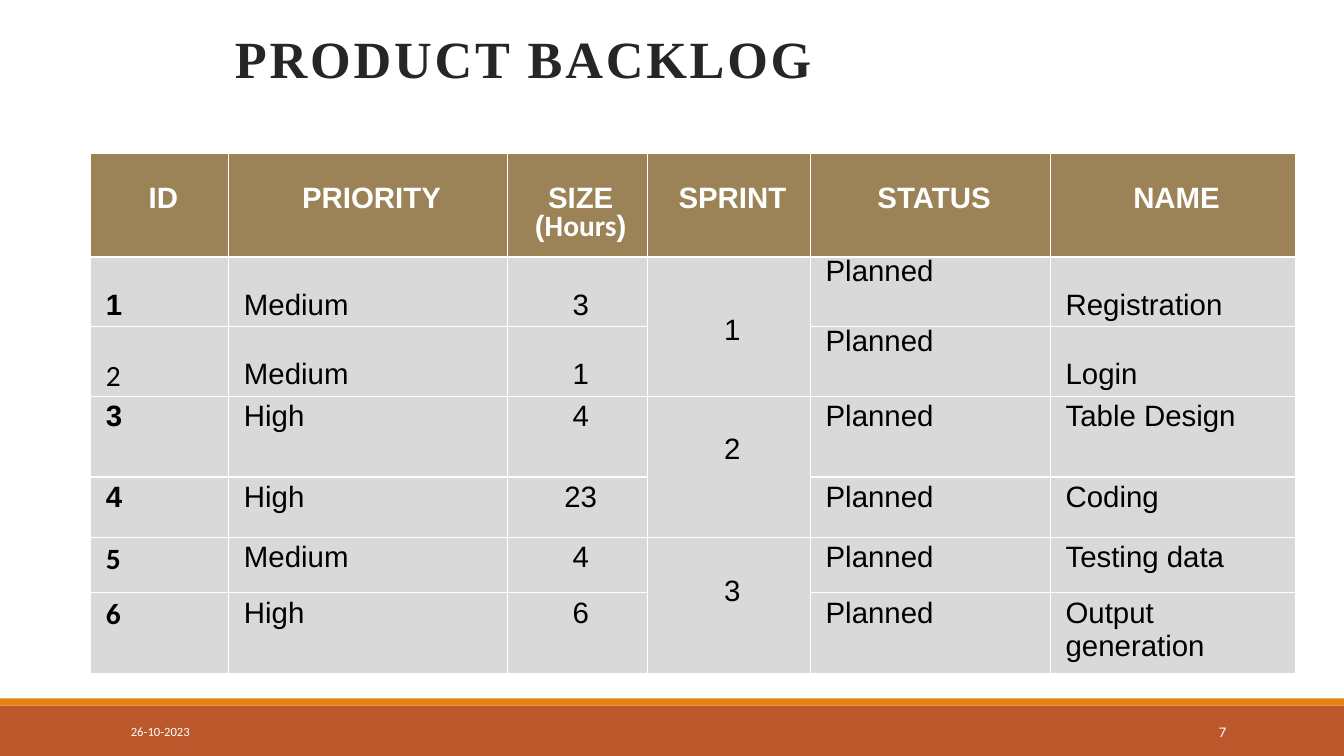
"""Build the product backlog slide."""
from dataclasses import dataclass

from lxml import etree
from pptx import Presentation
from pptx import util as u
from pptx.dml.color import RGBColor
from pptx.enum import shapes, text
from pptx.oxml.ns import qn

LEFT, CENTER, RIGHT = text.PP_ALIGN.LEFT, text.PP_ALIGN.CENTER, text.PP_ALIGN.RIGHT


@dataclass(frozen=True)
class Theme:
    """Colours, fonts and type sizes of the slide."""
    band: str = "BD582C"
    stripe: str = "E48312"
    header: str = "9B8357"
    cell: str = "D9D9D9"
    white: str = "FFFFFF"
    black: str = "000000"
    heading: str = "262626"
    body_font: str = "Arial"
    alt_font: str = "Calibri"
    title_font: str = "Times New Roman"
    title_size: float = 37.3
    table_size: float = 21
    date_size: float = 9
    number_size: float = 10.5


def add_text(p, txt, *, size, font, color, bold=False, spacing=None):
    """Append a formatted run to a paragraph."""
    r = p.add_run()
    r.text = txt
    r.font.size, r.font.name, r.font.bold = u.Pt(size), font, bold
    r.font.color.rgb = RGBColor.from_string(color)
    if spacing:
        r.font._element.set("spc", str(spacing * 100))


class Deck:
    """Hold the theme and the current slide, and add elements to it."""

    def __init__(self, prs, theme):
        """Add a blank slide to the presentation."""
        self.theme = theme
        self.s = prs.slides.add_slide(prs.slide_layouts[6])

    def rect(self, box, color):
        """Add a plain filled rectangle."""
        sp = self.s.shapes.add_shape(shapes.MSO_SHAPE.RECTANGLE, *map(u.Inches, box))
        sp.shadow.inherit = False
        sp.fill.solid()
        sp.fill.fore_color.rgb = RGBColor.from_string(color)
        sp.line.fill.background()

    def label(self, box, txt, *, align=LEFT, anchor=text.MSO_ANCHOR.MIDDLE,
              inset=None, line=None, after=None, **fmt):
        """Add a wrapped text box with one paragraph."""
        tf = self.s.shapes.add_textbox(*map(u.Inches, box)).text_frame
        tf.word_wrap, tf.vertical_anchor = True, anchor
        if inset:
            tf.margin_left = tf.margin_right = u.Inches(inset)
            tf.margin_top = tf.margin_bottom = u.Inches(inset)
        p = tf.paragraphs[0]
        p.alignment, p.line_spacing = align, line
        if after:
            p.space_after = u.Pt(after)
        add_text(p, txt, **fmt)

    def table(self, left, top, widths, heights):
        """Add an unbanded table and return it."""
        box = map(u.Inches, (left, top, sum(widths), sum(heights)))
        tbl = self.s.shapes.add_table(len(heights), len(widths), *box).table
        tbl.first_row = tbl.horz_banding = False
        for col, width in zip(tbl.columns, widths):
            col.width = u.Inches(width)
        for row, height in zip(tbl.rows, heights):
            row.height = u.Inches(height)
        for cell in tbl.iter_cells():
            self.borders(cell)
        return tbl

    def borders(self, cell):
        """Draw thin white borders around a cell."""
        tcPr = cell._tc.get_or_add_tcPr()
        for side in ("lnL", "lnR", "lnT", "lnB"):
            ln = etree.SubElement(tcPr, qn(f"a:{side}"), w=str(u.Pt(1)))
            fill = etree.SubElement(ln, qn("a:solidFill"))
            etree.SubElement(fill, qn("a:srgbClr"), val=self.theme.white)

    def cell(self, cell, lines, *, fill, top=0.04, align=LEFT, line=None, **fmt):
        """Fill a cell with lines, each a list of text and font pairs."""
        cell.fill.solid()
        cell.fill.fore_color.rgb = RGBColor.from_string(fill)
        cell.margin_left, cell.margin_right = u.Inches(0.15), u.Inches(0.08)
        cell.margin_top, cell.margin_bottom = u.Inches(top), u.Inches(0.04)
        tf = cell.text_frame
        for i, runs in enumerate(lines):
            p = tf.add_paragraph() if i else tf.paragraphs[0]
            p.alignment, p.line_spacing = align, line
            for txt, font in runs:
                add_text(p, txt, font=font, size=self.theme.table_size, **fmt)


def add_backlog(deck):
    """Add the backlog table."""
    t = deck.theme
    arial, calibri, tight = t.body_font, t.alt_font, 0.79
    tbl = deck.table(0.9, 1.52, (1.37, 2.76, 1.39, 1.62, 2.38, 2.43),
                     (1.03, 0.69, 0.69, 0.8, 0.6, 0.55, 0.8))
    headers = ("ID", "PRIORITY", "SIZE", "SPRINT", "STATUS", "NAME")
    for c, name in enumerate(headers):
        lines = [[(name, arial)]]
        if name == "SIZE":
            lines.append([("(", arial), ("Hours", calibri), (")", arial)])
        deck.cell(tbl.cell(0, c), lines, fill=t.header, top=0.34, align=CENTER,
                  line=tight, color=t.white, bold=True)

    items = (("Medium", "3", "Registration"), ("Medium", "1", "Login"),
             ("High", "4", "Table Design"), ("High", "23", "Coding"),
             ("Medium", "4", "Testing data"), ("High", "6", "Output generation"))
    for r, (priority, size, name) in enumerate(items, 1):
        low = r <= 2
        for c, txt in enumerate((str(r), priority, size, None, "Planned", name)):
            if txt is None:
                continue
            font = calibri if c == 0 and r in (2, 5, 6) else arial
            deck.cell(tbl.cell(r, c), [[(txt, font)]], fill=t.cell,
                      top=0.37 if low and c != 4 else 0.04,
                      align=CENTER if c == 2 else LEFT, line=tight if low else None,
                      color=t.black, bold=c == 0 and r != 2)

    for sprint, top in enumerate((0.62, 0.36, 0.37), 1):
        r = 2 * sprint - 1
        tbl.cell(r, 3).merge(tbl.cell(r + 1, 3))
        deck.cell(tbl.cell(r, 3), [[(str(sprint), arial)]], fill=t.cell, top=top,
                  align=CENTER, line=tight if sprint == 1 else None, color=t.black)


def main():
    """Build and save the presentation."""
    prs = Presentation()
    prs.slide_width, prs.slide_height = u.Inches(13.33), u.Inches(7.5)
    t = Theme()
    deck = Deck(prs, t)
    deck.rect((0, 7, 13.33, 0.5), t.band)
    deck.rect((0, 6.93, 13.33, 0.07), t.stripe)
    add_backlog(deck)
    deck.label((2.2, 0.3, 7.69, 1.1), "PRODUCT BACKLOG", anchor=text.MSO_ANCHOR.TOP,
               inset=0.13, line=0.7, after=2, size=t.title_size, font=t.title_font,
               color=t.heading, bold=True, spacing=2)
    deck.label((1.2, 7.06, 2.7, 0.4), "26-10-2023", size=t.date_size,
               font=t.alt_font, color=t.white)
    deck.label((10.83, 7.06, 1.43, 0.4), "7", align=RIGHT, size=t.number_size,
               font=t.alt_font, color=t.white)
    prs.save("out.pptx")


if __name__ == "__main__":
    main()
